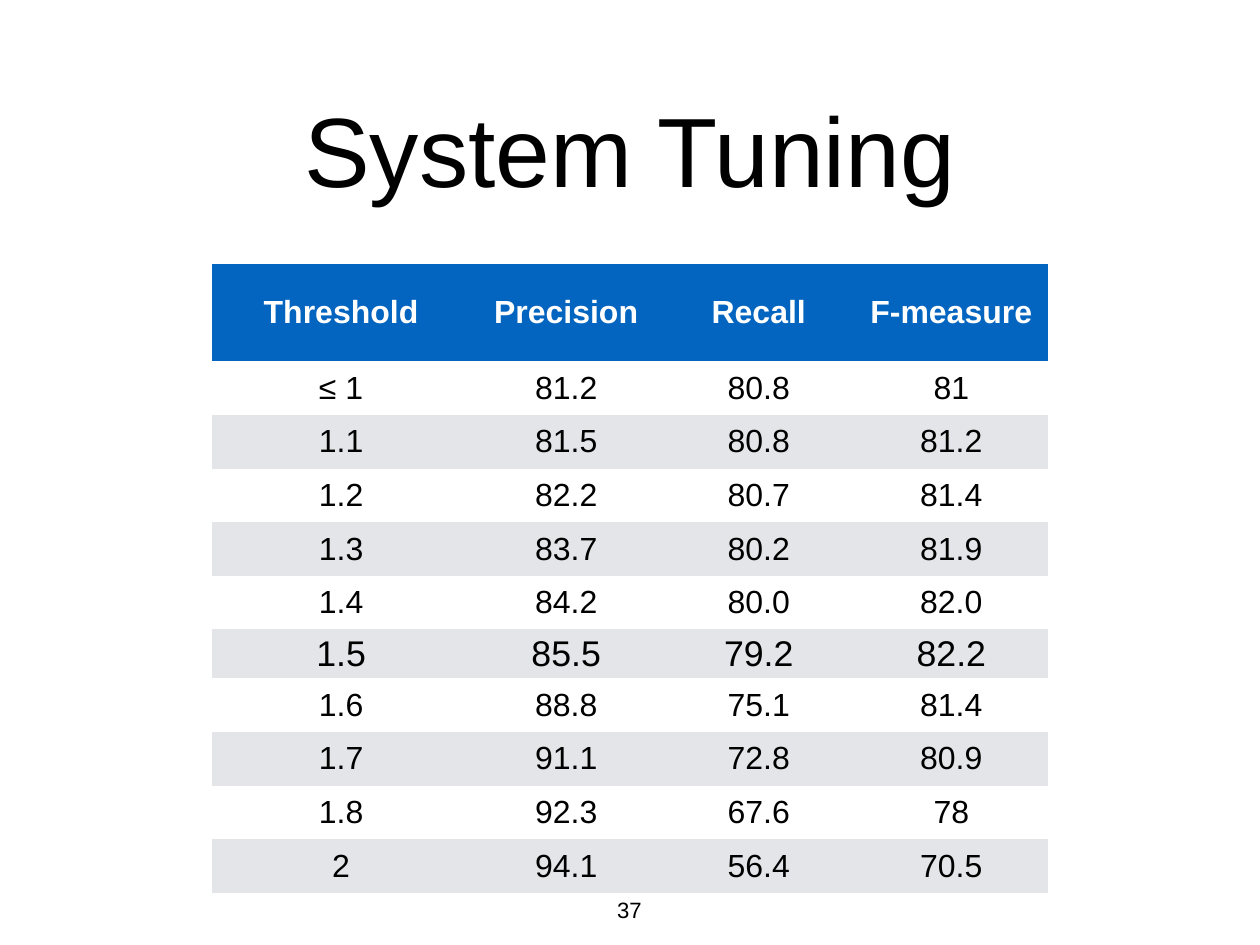
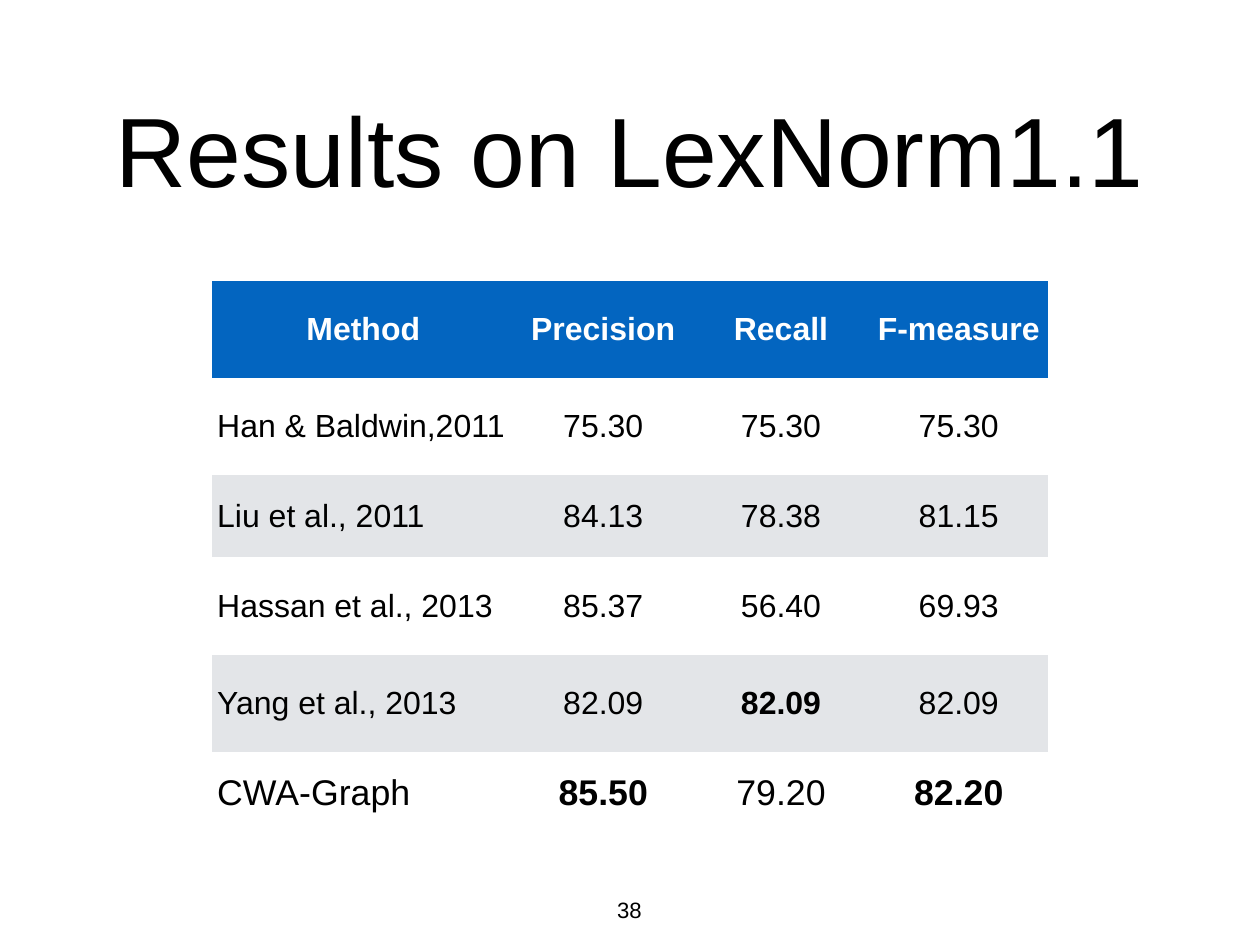
from pptx import Presentation
from pptx.dml.color import RGBColor
from pptx.enum.text import MSO_ANCHOR, PP_ALIGN
from pptx.util import Pt

TOP, MIDDLE = MSO_ANCHOR.TOP, MSO_ANCHOR.MIDDLE
LEFT, CENTER = PP_ALIGN.LEFT, PP_ALIGN.CENTER

FONT = "Arial"
BLACK, WHITE, BLUE, GRAY = "000000", "FFFFFF", "0365C0", "E3E5E8"
PLAIN_STYLE = "{2D5ABB26-0587-4C30-8999-92F81FD0307C}"
TITLE_ONLY = 5

TITLE_BOX = (75, 35, 874, 170)
PAGE_BOX = (497, 728.4, 29, 30)
GRID_LEFT, GRID_WIDTH = 172.5, 679
HEAD_H = 78.9
BODY_SIZE, BIG_SIZE = 26, 29
SCORES = ["Precision", "Recall", "F-measure"]

TUNING = [
    ["Threshold", *SCORES],
    ["≤ 1", "81.2", "80.8", "81"],
    ["1.1", "81.5", "80.8", "81.2"],
    ["1.2", "82.2", "80.7", "81.4"],
    ["1.3", "83.7", "80.2", "81.9"],
    ["1.4", "84.2", "80.0", "82.0"],
    ["1.5", "85.5", "79.2", "82.2"],
    ["1.6", "88.8", "75.1", "81.4"],
    ["1.7", "91.1", "72.8", "80.9"],
    ["1.8", "92.3", "67.6", "78"],
    ["2", "94.1", "56.4", "70.5"],
]
RESULTS = [
    ["Method", *SCORES],
    ["Han & Baldwin,2011", "75.30", "75.30", "75.30"],
    ["Liu et al., 2011", "84.13", "78.38", "81.15"],
    ["Hassan et al., 2013", "85.37", "56.40", "69.93"],
    ["Yang et al., 2013", "82.09", "82.09", "82.09"],
    ["CWA-Graph", "85.50", "79.20", "82.20"],
]


def color(code):
    return RGBColor.from_string(code)


def write(frame, text, size, ink=BLACK, bold=False, align=CENTER):
    frame.text = text
    para = frame.paragraphs[0]
    para.alignment = align
    font = para.font
    font.name, font.size, font.bold = FONT, Pt(size), bold
    font.color.rgb = color(ink)


def strip(frame, anchor):
    """Wrap the text, take away the insets and anchor it."""
    frame.word_wrap = True
    frame.margin_left = frame.margin_right = 0
    frame.margin_top = frame.margin_bottom = 0
    frame.vertical_anchor = anchor


def add_title(slide, text, box):
    title = slide.shapes.title
    title.left, title.top, title.width, title.height = map(Pt, box)
    strip(title.text_frame, MIDDLE)
    write(title.text_frame, text, 80)


def add_page(slide, number, box):
    x, y, w, h = map(Pt, box)
    pen = slide.shapes.build_freeform(x, y)
    pen.add_line_segments([(x + w, y), (x + w, y + h), (x, y + h)])
    shape = pen.convert_to_shape()
    shape.shadow.inherit = False
    shape.fill.background()
    shape.line.fill.background()
    strip(shape.text_frame, TOP)
    write(shape.text_frame, str(number), 18)


def fill_cell(cell, text, back, **style):
    cell.fill.solid()
    cell.fill.fore_color.rgb = color(back)
    cell.vertical_anchor = MIDDLE
    cell.margin_left = cell.margin_right = Pt(4)
    cell.margin_top = cell.margin_bottom = Pt(3.2)
    write(cell.text_frame, text, **style)


def add_grid(slide, data, top, first, heights, big, align=CENTER, best=False):
    """Draw a banded table; big is the enlarged row, best bolds column tops."""
    box = (GRID_LEFT, top, GRID_WIDTH, sum(heights))
    shape = slide.shapes.add_table(len(data), len(data[0]), *map(Pt, box))
    shape.element.xpath(".//a:tableStyleId")[0].text = PLAIN_STYLE
    table = shape.table
    rest = (GRID_WIDTH - first) / (len(data[0]) - 1)
    for c, col in enumerate(table.columns):
        col.width = Pt(rest if c else first)
    for row, height in zip(table.rows, heights):
        row.height = Pt(height)

    tops = [max(map(float, col[1:])) for col in list(zip(*data))[1:]]
    for r, line in enumerate(data):
        back = BLUE if r == 0 else WHITE if r % 2 else GRAY
        for c, text in enumerate(line):
            peak = best and r and c and float(text) == tops[c - 1]
            fill_cell(
                table.cell(r, c), text, back,
                size=BIG_SIZE if r == big else BODY_SIZE,
                ink=BLACK if r else WHITE,
                bold=r == 0 or bool(peak),
                align=align if r and c == 0 else CENTER,
            )


def add_slide(deck, title, page, data, **layout):
    slide = deck.slides.add_slide(deck.slide_layouts[TITLE_ONLY])
    add_title(slide, title, TITLE_BOX)
    add_grid(slide, data, **layout)
    add_page(slide, page, PAGE_BOX)


def main():
    deck = Presentation()
    deck.slide_width, deck.slide_height = Pt(1024), Pt(768)
    add_slide(deck, "System Tuning", 37, TUNING, top=214.7, first=209.5,
              heights=[HEAD_H] + [43.6] * 5 + [39.7] + [43.6] * 4, big=6)
    add_slide(deck, "Results on LexNorm1.1", 38, RESULTS, top=228.4,
              first=245.6, heights=[HEAD_H, HEAD_H, 66.9] * 2, big=5,
              align=LEFT, best=True)
    deck.save("out.pptx")


if __name__ == "__main__":
    main()
